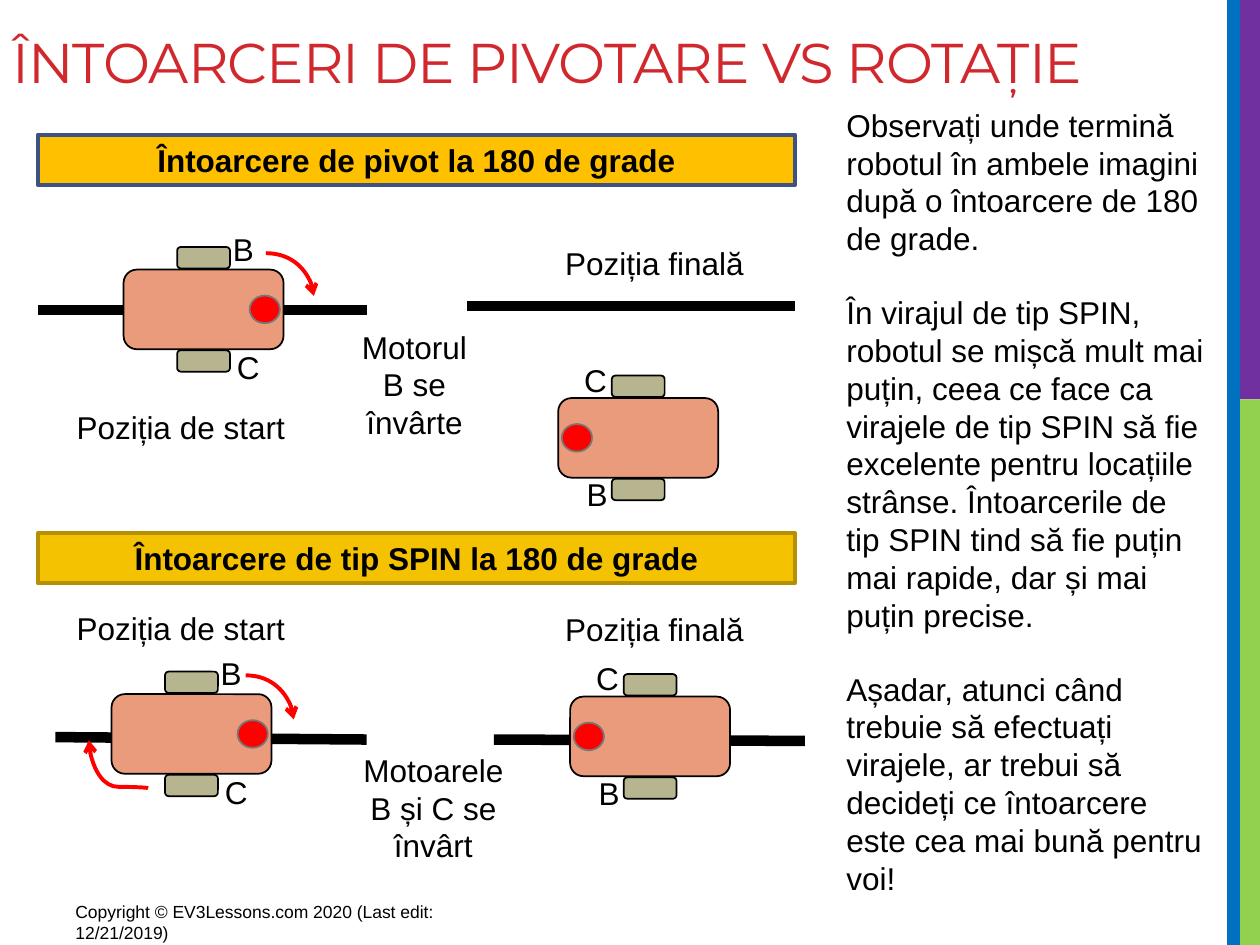
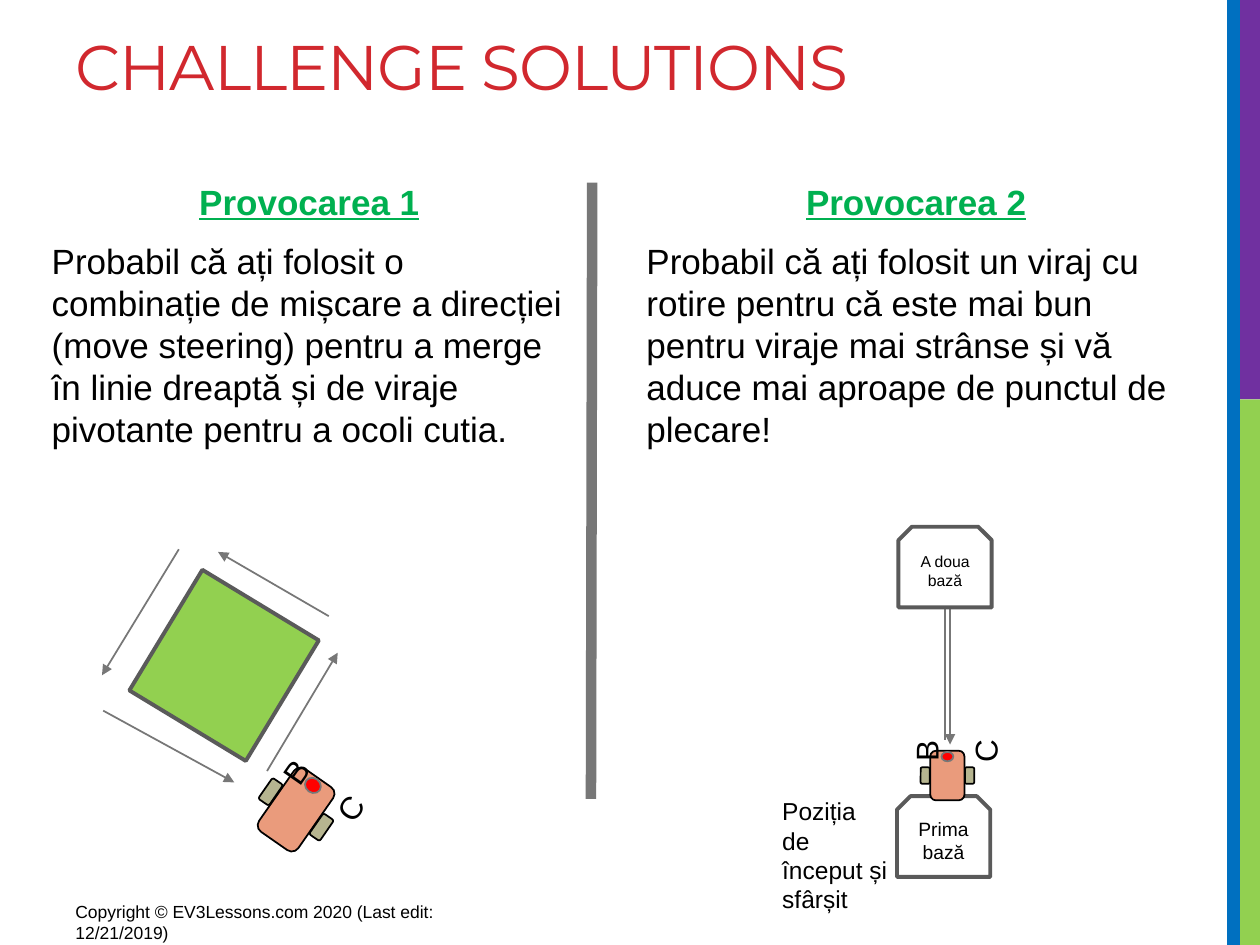
from math import cos, radians, sin

from lxml.etree import SubElement
from pptx import Presentation
from pptx.dml.color import RGBColor
from pptx.enum.shapes import MSO_CONNECTOR as LINK, MSO_SHAPE as FORM
from pptx.enum.text import MSO_ANCHOR, MSO_AUTO_SIZE, PP_ALIGN
from pptx.oxml.ns import qn
from pptx.util import Pt

LEFT, MID = PP_ALIGN.LEFT, PP_ALIGN.CENTER
BLACK, GREY, DARK, RED = "000000", "777777", "5A5A5A", "FF0000"
GREEN, WHITE = "92D050", "FFFFFF"
BASE = {"name": "Arial", "size": Pt(18), "bold": False, "underline": False}
HEAD = BASE | {"size": Pt(20), "bold": True, "underline": True}


def tint(target, tone):
    if hasattr(target, "solid"):
        target.solid()
        target.fore_color.rgb = RGBColor.from_string(tone)
    else:
        target.color.rgb = RGBColor.from_string(tone)


def write(frame, lines, look, tone=BLACK, align=LEFT, gap=0):
    frame.word_wrap = True
    for i, line in enumerate(lines):
        para = frame.paragraphs[0] if i == 0 else frame.add_paragraph()
        para.text = line
        para.alignment = align
        para.space_before = Pt(gap if i else 0)
        for run in para.runs:
            for key, value in look.items():
                setattr(run.font, key, value)
            tint(run.font, tone)


deck = Presentation()
deck.slide_width, deck.slide_height = Pt(720), Pt(540)
turns = deck.slides.add_slide(deck.slide_layouts[5])
solve = deck.slides.add_slide(deck.slide_layouts[3])

bands = [
    (708.5, 228.2, 11.5, 311.8, GREEN),
    (705.6, 0, 14.4, 228.2, "7030A0"),
    (701.3, 0, 7.2, 540, "0070C0"),
]
for i, (*box, tone) in enumerate(bands):
    band = turns.shapes.add_shape(FORM.RECTANGLE, *map(Pt, box))
    band.shadow.inherit = False
    tint(band.fill, tone)
    band.line.fill.background()
    deck.slide_master.shapes.element.insert(2 + i, band.element)

titles = [
    (turns, "ÎNTOARCERI DE PIVOTARE VS ROTAȚIE", 0, 698.4, 32),
    (solve, "CHALLENGE SOLUTIONS", 36, 649.4, 36),
]
for page, text, left, width, size in titles:
    title = page.shapes.title
    title.left, title.top, title.width, title.height = map(Pt, (left, 12.2, width, 108))
    frame = title.text_frame
    frame.auto_size = MSO_AUTO_SIZE.NONE
    frame.vertical_anchor = MSO_ANCHOR.TOP
    write(frame, [text], BASE | {"name": "Montserrat", "size": Pt(size)}, "D1282E")
    frame.paragraphs[0].runs[0].font.element.set("spc", "-60") if hasattr(
        frame.paragraphs[0].runs[0].font, "element"
    ) else frame.paragraphs[0].runs[0]._r.get_or_add_rPr().set("spc", "-60")

tasks = [
    (1, 22.3, 308.9, "Provocarea 1",
     "Probabil că ați folosit o combinație de mișcare a direcției (move steering) "
     "pentru a merge în linie dreaptă și de viraje pivotante pentru a ocoli cutia."),
    (2, 362.2, 322.6, "Provocarea 2",
     "Probabil că ați folosit un viraj cu rotire pentru că este mai bun pentru viraje "
     "mai strânse și vă aduce mai aproape de punctul de plecare!"),
]
for slot, left, width, *lines in tasks:
    body = solve.placeholders[slot]
    body.left, body.top, body.width, body.height = map(Pt, (left, 99.4, width, 344.2))
    frame = body.text_frame
    frame.auto_size = MSO_AUTO_SIZE.NONE
    write(frame, lines, BASE | {"size": Pt(20)}, gap=4)
    for para in frame.paragraphs:
        para.space_after = Pt(6)
        props = para._p.get_or_add_pPr()
        props.set("marL", "0")
        props.set("indent", "0")
        SubElement(props, qn("a:buNone"))
    top = frame.paragraphs[0]
    top.alignment = MID
    for key, value in HEAD.items():
        setattr(top.runs[0].font, key, value)
    tint(top.runs[0].font, "00B050")

links = [
    (turns, (282.2, 422.6, 460, 423.4), BLACK, 6, None),
    (turns, (31.7, 421.2, 209.5, 422.6), BLACK, 6, None),
    (turns, (21.6, 177.1, 209.5, 177.1), BLACK, 6, None),
    (turns, (267.1, 175, 454.3, 175), BLACK, 6, None),
    (turns, (151.9, 144.7, 179.3, 169.2), RED, 2.25, "arrow"),
    (turns, (140.4, 385.9, 167.8, 411.1), RED, 2.25, "arrow"),
    (turns, (54, 453.6, 81.4, 419.8), RED, 2.25, "arrow"),
    (solve, (337.7, 456.5, 338.4, 104.4), GREY, 6, None),
    (solve, (102.2, 313.9, 58.3, 385.9), GREY, 1, "triangle"),
    (solve, (187.9, 352.1, 124.6, 315.4), GREY, 1, "triangle"),
    (solve, (152.6, 440.6, 193, 373), GREY, 1, "triangle"),
    (solve, (59, 406.1, 133.9, 447.1), GREY, 1, "triangle"),
    (solve, (540, 422.6, 540, 339.1), GREY, 1, "triangle"),
    (solve, (542.9, 347, 542.9, 425.5), GREY, 1, "triangle"),
]
for page, ends, tone, width, tip in links:
    kind = LINK.CURVE if tip == "arrow" else LINK.STRAIGHT
    link = page.shapes.add_connector(kind, *map(Pt, ends))
    tint(link.line, tone)
    link.line.width = Pt(width)
    props = link.element.spPr
    if tip:
        SubElement(props.find(qn("a:ln")), qn("a:tailEnd"), type=tip)
    SubElement(props, qn("a:effectLst"))
    if kind == LINK.CURVE:
        shape = props.find(qn("a:prstGeom"))
        if ends[3] > ends[1]:
            shape.set("prst", "curvedConnector2")
        else:
            props.find(qn("a:xfrm")).set("rot", "16200000")
            guides = shape.find(qn("a:avLst"))
            SubElement(guides, qn("a:gd"), name="adj1", fmla="val 2800")

blocks = [
    (turns, FORM.RECTANGLE, (21.6, 77, 432.7, 28.8), 0, "FFC000", "3D5182", 2.25,
     "Întoarcere de pivot la 180 de grade", 18),
    (turns, FORM.RECTANGLE, (21.6, 304.6, 432.7, 28.8), 0, "F5C201", "B59001", 2.25,
     "Întoarcere de tip SPIN la 180 de grade", 18),
    (solve, FORM.RECTANGLE, (87.8, 341.3, 80.6, 77.8), 301.2, GREEN, DARK, 2.25, "", 18),
    (solve, FORM.SNIP_2_SAME_RECTANGLE, (512.6, 455, 53.3, 46.1), 0, WHITE, DARK, 2.25,
     "Prima bază", 11),
    (solve, FORM.SNIP_2_SAME_RECTANGLE, (513.4, 301, 53.3, 46.1), 0, WHITE, DARK, 2.25,
     "A doua bază", 9),
]
notes = [
    (turns, (36, 344.2, 134.6, 28.8), 0, ["Poziția de start"], 18, MID),
    (turns, (306.7, 344.9, 134.6, 28.8), 0, ["Poziția finală"], 18, MID),
    (turns, (36, 229.7, 134.6, 28.8), 0, ["Poziția de start"], 18, MID),
    (turns, (306.7, 136.1, 134.6, 28.8), 0, ["Poziția finală"], 18, MID),
    (turns, (195.1, 425.5, 105.1, 72.7), 0, ["Motoarele B și C se învârt"], 18, MID),
    (turns, (184.3, 183.6, 105.1, 72.7), 0, ["Motorul", "B se învârte"], 18, MID),
    (turns, (476.6, 56.9, 221, 465.1), 0, [
        "Observați unde termină robotul în ambele imagini după o întoarcere de 180 de grade.",
        "În virajul de tip SPIN, robotul se mișcă mult mai puțin, ceea ce face ca virajele "
        "de tip SPIN să fie excelente pentru locațiile strânse. Întoarcerile de tip SPIN "
        "tind să fie puțin mai rapide, dar și mai puțin precise.",
        "Așadar, atunci când trebuie să efectuați virajele, ar trebui să decideți ce "
        "întoarcere este cea mai bună pentru voi!",
    ], 18, LEFT),
    (solve, (439.9, 451.4, 74.9, 74.9), 0, ["Poziția de început și sfârșit"], 14, LEFT),
]
for page in (turns, solve):
    notes.append((page, (36, 511.2, 270, 22.3), 0,
                  ["Copyright © EV3Lessons.com 2020 (Last edit: 12/21/2019)"], 10, LEFT))

parts = [
    (FORM.ROUNDED_RECTANGLE, 0, 0, 45.5, 91.4, "EA9B7C", BLACK),
    (FORM.ROUNDED_RECTANGLE, 29.5, 0, 12.2, 30.2, "B6B590", BLACK),
    (FORM.ROUNDED_RECTANGLE, -29.5, 0, 12.2, 30.2, "B6B590", BLACK),
    (FORM.OVAL, 0, -35, 15.8, 17.3, RED, GREY),
]
right = {"B": (28, -37.6), "C": (30.3, 30.2)}
left = {"B": (-18.2, 29.2), "C": (-19.6, -36)}
tilt = {"B": (-9, -22.3), "C": (22, -1.4)}
up = {"B": (-21.6, -9.7), "C": (12.2, -9)}
robots = [
    (turns, 116.3, 176.8, 90, 1, 1, right, (36.7, 23), 0),
    (turns, 364.7, 250.2, 270, 1, 1, left, (36.7, 23), 0),
    (turns, 109.4, 419.4, 90, 1, 1, right, (36.7, 23), 0),
    (turns, 371.5, 420.8, 270, 1, 1, left, (36.7, 23), 0),
    (solve, 169.2, 462.6, 34.9, 0.6, 0.48, tilt, (18, 13.7), 304.9),
    (solve, 541.4, 443.2, 0, 0.43, 0.31, up, (11.5, 10), 270),
]
for page, x, y, turn, wide, tall, marks, (w, h), lean in robots:
    c, s = cos(radians(turn)), sin(radians(turn))
    for form, dx, dy, pw, ph, fill, edge in parts:
        dx, dy, pw, ph = dx * wide, dy * tall, pw * wide, ph * tall
        box = (x + dx * c - dy * s - pw / 2, y + dx * s + dy * c - ph / 2, pw, ph)
        blocks.append((page, form, box, turn, fill, edge, 1, "", 18))
    for mark, (dx, dy) in marks.items():
        box = (x + dx - w / 2, y + dy - h / 2, w, h)
        notes.append((page, box, lean, [mark], 18, LEFT))

for page, form, box, turn, fill, edge, width, text, size in blocks:
    block = page.shapes.add_shape(form, *map(Pt, box))
    block.shadow.inherit = False
    block.rotation = turn
    tint(block.fill, fill)
    tint(block.line, edge)
    block.line.width = Pt(width)
    if text:
        look = BASE | {"size": Pt(size), "bold": page is turns}
        block.text_frame.vertical_anchor = MSO_ANCHOR.MIDDLE
        write(block.text_frame, [text], look, align=MID)

for page, box, turn, lines, size, align in notes:
    note = page.shapes.add_textbox(*map(Pt, box))
    note.rotation = turn
    if size > 10:
        note.text_frame.auto_size = MSO_AUTO_SIZE.SHAPE_TO_FIT_TEXT
    write(note.text_frame, lines, BASE | {"size": Pt(size)}, align=align, gap=20.7)
    if len(lines) == 2:
        note.text_frame.paragraphs[1].space_before = Pt(0)

deck.save("out.pptx")
